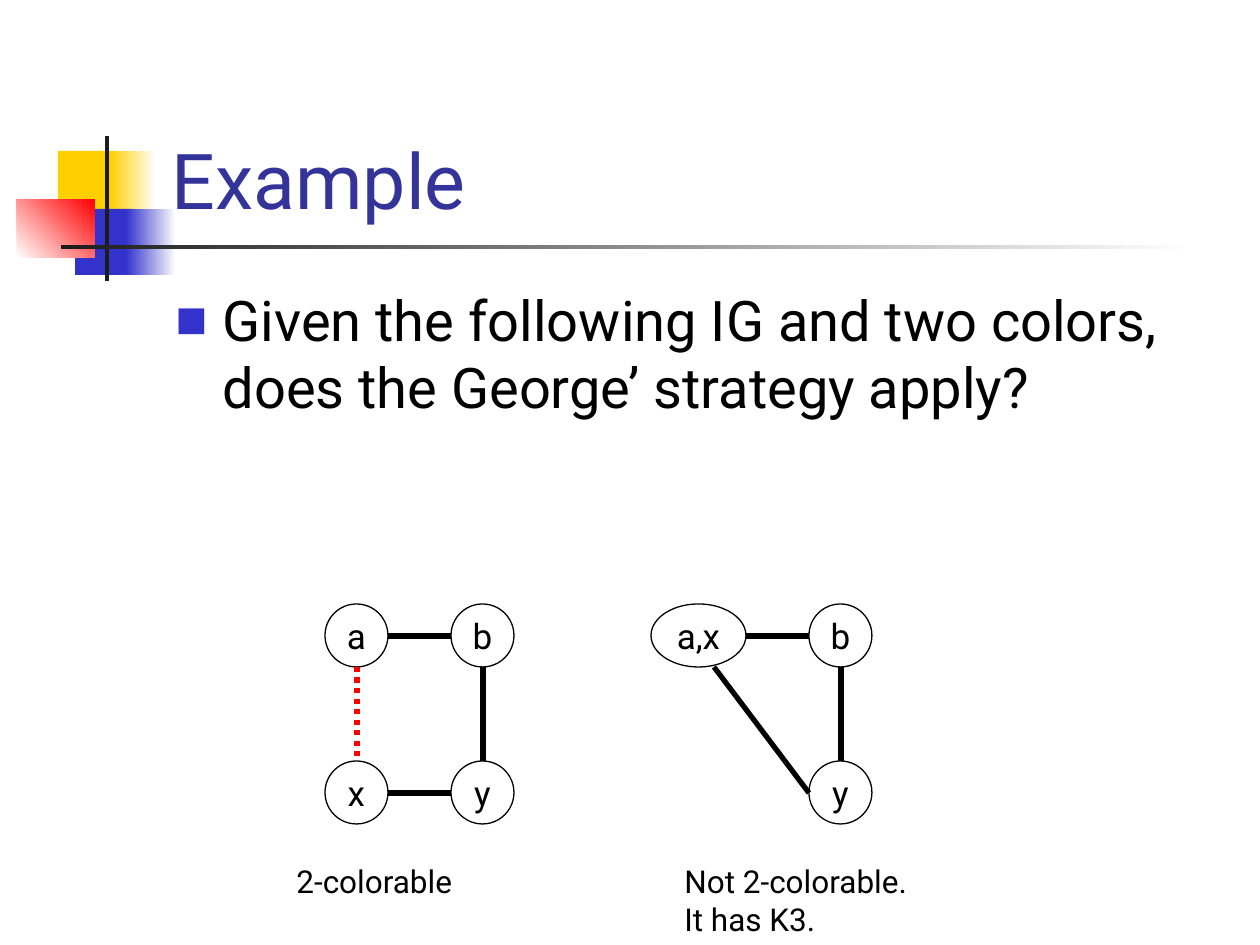
from dataclasses import dataclass

from lxml import etree
from pptx import Presentation
from pptx import util as u
from pptx.dml.color import RGBColor
from pptx.enum import dml, shapes, text
from pptx.oxml import ns

EMU_PER_PX = 914400 / 126


def px(length):
    return u.Emu(round(length * EMU_PER_PX))


@dataclass(frozen=True)
class Theme:
    font: str = "Roboto"
    title_size: int = 44
    body_size: int = 32
    node_size: int = 20
    caption_size: int = 18
    title: str = "333399"
    ink: str = "000000"
    paper: str = "FFFFFF"
    yellow: str = "FFCF01"
    blue: str = "3333CC"
    red: str = "FF0000"
    bar: str = "1C1C1C"


class SlideBuilder:
    def __init__(self, slide, theme):
        self.slide = slide
        self.theme = theme

    def format_text(self, frame, size, color, align=text.PP_ALIGN.LEFT):
        for paragraph in frame.paragraphs:
            paragraph.alignment = align
            paragraph.space_before = u.Pt(0)
            for run in paragraph.runs:
                run.font.name = self.theme.font
                run.font.size = u.Pt(size)
                run.font.color.rgb = RGBColor.from_string(color)

    def block(self, box, color, end_color=None, angle=0):
        """Add a borderless rectangle, with a gradient if end_color is given."""
        shape = self.slide.shapes.add_shape(
            shapes.MSO_SHAPE.RECTANGLE, *map(px, box))
        shape.shadow.inherit = False
        shape.line.fill.background()
        if end_color is None:
            shape.fill.solid()
            shape.fill.fore_color.rgb = RGBColor.from_string(color)
            return
        shape.fill.gradient()
        shape.fill.gradient_angle = angle
        stops = zip(shape.fill.gradient_stops, (color, end_color), (0, 1))
        for stop, stop_color, position in stops:
            stop.color.rgb = RGBColor.from_string(stop_color)
            stop.position = position

    def placeholder(self, index, box, words, size, color, anchor):
        """Fill a template placeholder and bring it in front of the blocks."""
        shape = self.slide.placeholders[index]
        shape.left, shape.top, shape.width, shape.height = map(px, box)
        frame = shape.text_frame
        frame.text = words
        frame.auto_size = text.MSO_AUTO_SIZE.NONE
        frame.vertical_anchor = anchor
        self.slide.shapes._spTree.append(shape._element)
        return frame

    def title(self, box, words):
        theme = self.theme
        frame = self.placeholder(0, box, words, theme.title_size, theme.title,
                                 text.MSO_ANCHOR.BOTTOM)
        self.format_text(frame, theme.title_size, theme.title)

    def bullet_list(self, box, words, indent):
        theme = self.theme
        frame = self.placeholder(1, box, words, theme.body_size, theme.ink,
                                 text.MSO_ANCHOR.TOP)
        for paragraph in frame.paragraphs:
            properties = paragraph._p.get_or_add_pPr()
            properties.set("marL", str(px(indent)))
            properties.set("indent", str(-px(indent)))
            bullet_color = etree.SubElement(properties, ns.qn("a:buClr"))
            etree.SubElement(bullet_color, ns.qn("a:srgbClr"), val=theme.blue)
            etree.SubElement(properties, ns.qn("a:buSzPct"), val="60000")
            etree.SubElement(properties, ns.qn("a:buFont"), typeface=theme.font)
            etree.SubElement(properties, ns.qn("a:buChar"), char="■")
        self.format_text(frame, theme.body_size, theme.ink)

    def node(self, label, box):
        theme = self.theme
        shape = self.slide.shapes.add_shape(shapes.MSO_SHAPE.OVAL, *map(px, box))
        shape.shadow.inherit = False
        shape.fill.background()
        shape.line.color.rgb = RGBColor.from_string(theme.ink)
        shape.line.width = u.Pt(0.75)
        frame = shape.text_frame
        frame.text = label
        frame.word_wrap = False
        frame.vertical_anchor = text.MSO_ANCHOR.MIDDLE
        self.format_text(frame, theme.node_size, theme.ink, text.PP_ALIGN.CENTER)

    def edge(self, start, end, color=None, dash=None):
        line = self.slide.shapes.add_connector(
            shapes.MSO_CONNECTOR.STRAIGHT, *map(px, start + end))
        line.line.color.rgb = RGBColor.from_string(color or self.theme.ink)
        line.line.width = u.Pt(3)
        if dash:
            line.line.dash_style = dash
        etree.SubElement(line._element.spPr, ns.qn("a:effectLst"))

    def caption(self, box, words):
        frame = self.slide.shapes.add_textbox(*map(px, box)).text_frame
        frame.word_wrap = True
        frame.text = words
        self.format_text(frame, self.theme.caption_size, self.theme.ink)


def main():
    presentation = Presentation()
    presentation.slide_width, presentation.slide_height = px(1260), px(945)
    slide = presentation.slides.add_slide(presentation.slide_layouts[1])
    theme = Theme()
    builder = SlideBuilder(slide, theme)

    builder.block((58, 151, 60, 66), theme.yellow)
    builder.block((110, 151, 46, 66), theme.yellow, theme.paper)
    builder.block((75, 209, 58, 66), theme.blue)
    builder.block((126, 209, 50, 66), theme.blue, theme.paper)
    builder.block((17, 199, 78, 59), theme.paper, theme.red, angle=45)
    builder.block((105, 136, 4, 145), theme.bar)
    builder.block((61, 245, 1134, 4), theme.bar, theme.paper)

    builder.title((159, 29, 1074, 202), "Example")
    builder.bullet_list(
        (163, 279, 1071, 567),
        "Given the following IG and two colors, does the George’ strategy apply?",
        indent=47)

    size, radius = 63, 32
    top, bottom = 604, 761
    top_middle, bottom_middle = top + radius, bottom + radius
    left, right = 325, 451
    merged_left, merged_width, merged_right = 651, 95, 809

    for label, x, y in (("a", left, top), ("b", right, top),
                        ("x", left, bottom), ("y", right, bottom),
                        ("b", merged_right, top), ("y", merged_right, bottom)):
        builder.node(label, (x, y, size, size))
    builder.node("a,x", (merged_left, top, merged_width, size))

    for y in (top_middle, bottom_middle):
        builder.edge((left + size, y), (right, y))
    for x in (right + radius, merged_right + radius):
        builder.edge((x, top + size), (x, bottom))
    builder.edge((left + radius, top + size), (left + radius, bottom),
                 theme.red, dml.MSO_LINE.ROUND_DOT)
    builder.edge((merged_left + merged_width, top_middle),
                 (merged_right, top_middle))
    builder.edge((714, top + size), (merged_right, bottom_middle))

    builder.caption((284, 856, 220, 50), "2-colorable")
    builder.caption((672, 856, 315, 89), "Not 2-colorable.\nIt has K3.")

    presentation.save("out.pptx")


if __name__ == "__main__":
    main()
